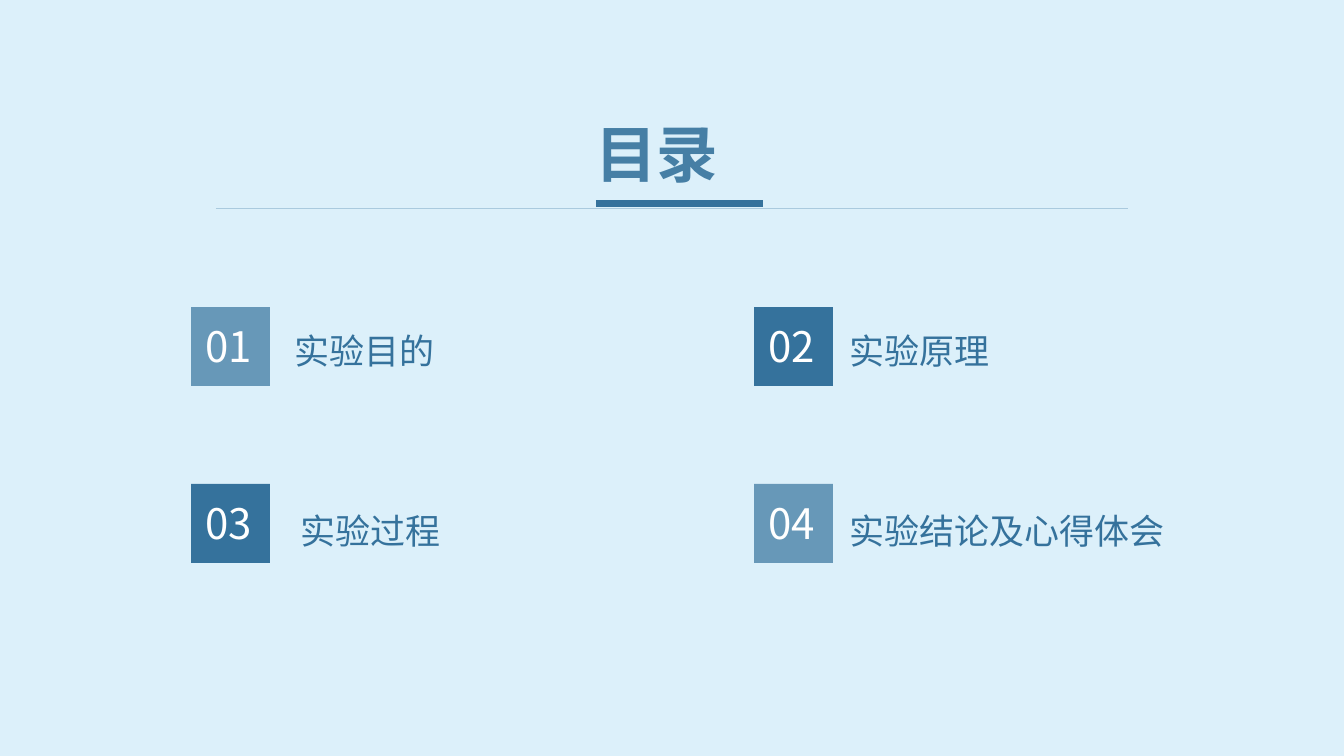
from lxml import etree
from pptx import Presentation
from pptx import util as u
from pptx.dml.color import RGBColor
from pptx.enum import shapes, text
from pptx.oxml.ns import qn

EMU_PER_PX = 914400 / 100.8
COLORS = {
    "background": "DCF0FA",
    "dark": "35729C",
    "light": "6798B8",
    "title": "467FA5",
    "rule": "AACADE",
    "white": "FFFFFF",
}
CJK_FONT = "Noto Sans CJK SC"
SQUARE = 79

# number, label, square left and top, square colour, label left, top and width
ITEMS = [
    ("01", "实验目的", 191, 307, "light", 285, 325, 305),
    ("02", "实验原理", 754, 307, "dark", 840, 325, 305),
    ("03", "实验过程", 191, 484, "dark", 291, 505, 305),
    ("04", "实验结论及心得体会", 754, 484, "light", 840, 505, 353),
]


def px(n):
    return u.Emu(round(n * EMU_PER_PX))


def rgb(name):
    return RGBColor.from_string(COLORS[name])


def write(sp, words, size, color, font=CJK_FONT, bold=False,
          align=text.PP_ALIGN.LEFT):
    """Fill a shape with one top-anchored paragraph."""
    tf = sp.text_frame
    tf.word_wrap = True
    tf.auto_size = text.MSO_AUTO_SIZE.NONE
    tf.vertical_anchor = text.MSO_ANCHOR.TOP
    p = tf.paragraphs[0]
    p.alignment = align
    r = p.add_run()
    r.text = words
    p.font.size = u.Pt(size)
    p.font.bold = bold
    p.font.name = font
    p.font.color.rgb = rgb(color)
    # East Asian glyphs take their typeface from a:ea
    props = p._p.pPr.find(qn("a:defRPr"))
    etree.SubElement(props, qn("a:ea")).set("typeface", CJK_FONT)


def add_title(slide, words):
    sp = slide.shapes.title
    sp.left, sp.top, sp.width, sp.height = px(585), px(111), px(190), px(85)
    write(sp, words, 44, "title", bold=True, align=text.PP_ALIGN.JUSTIFY)


def add_text(slide, words, left, top, width, height, size, color, **style):
    sp = slide.shapes.add_textbox(px(left), px(top), px(width), px(height))
    write(sp, words, size, color, **style)


def add_rule(slide, left, right, y, color, width):
    line = slide.shapes.add_connector(
        shapes.MSO_CONNECTOR.STRAIGHT, px(left), px(y), px(right), px(y))
    line.line.color.rgb = rgb(color)
    line.line.width = u.Pt(width)
    etree.SubElement(line._element.spPr, qn("a:effectLst"))


def add_square(slide, left, top, color):
    sp = slide.shapes.add_shape(
        shapes.MSO_SHAPE.RECTANGLE, px(left), px(top), px(SQUARE), px(SQUARE))
    sp.shadow.inherit = False
    sp.fill.solid()
    sp.fill.fore_color.rgb = rgb(color)
    sp.line.fill.background()


def add_item(slide, number, label, left, top, color, label_left, label_top, label_width):
    add_square(slide, left, top, color)
    add_text(slide, number, left - 1, top + 9, 77, 60, 30, "white",
             align=text.PP_ALIGN.CENTER)
    add_text(slide, label, label_left, label_top, label_width, 52, 25, "dark",
             font="Arial")


def main():
    prs = Presentation()
    prs.slide_width, prs.slide_height = px(1344), px(756)
    slide = prs.slides.add_slide(prs.slide_layouts.get_by_name("Title Only"))
    slide.background.fill.solid()
    slide.background.fill.fore_color.rgb = rgb("background")

    add_title(slide, "目录")
    add_rule(slide, 216, 1128, 208, "rule", 0.5)
    add_rule(slide, 596, 763, 204, "dark", 5)
    for item in ITEMS:
        add_item(slide, *item)

    prs.save("out.pptx")


if __name__ == "__main__":
    main()
